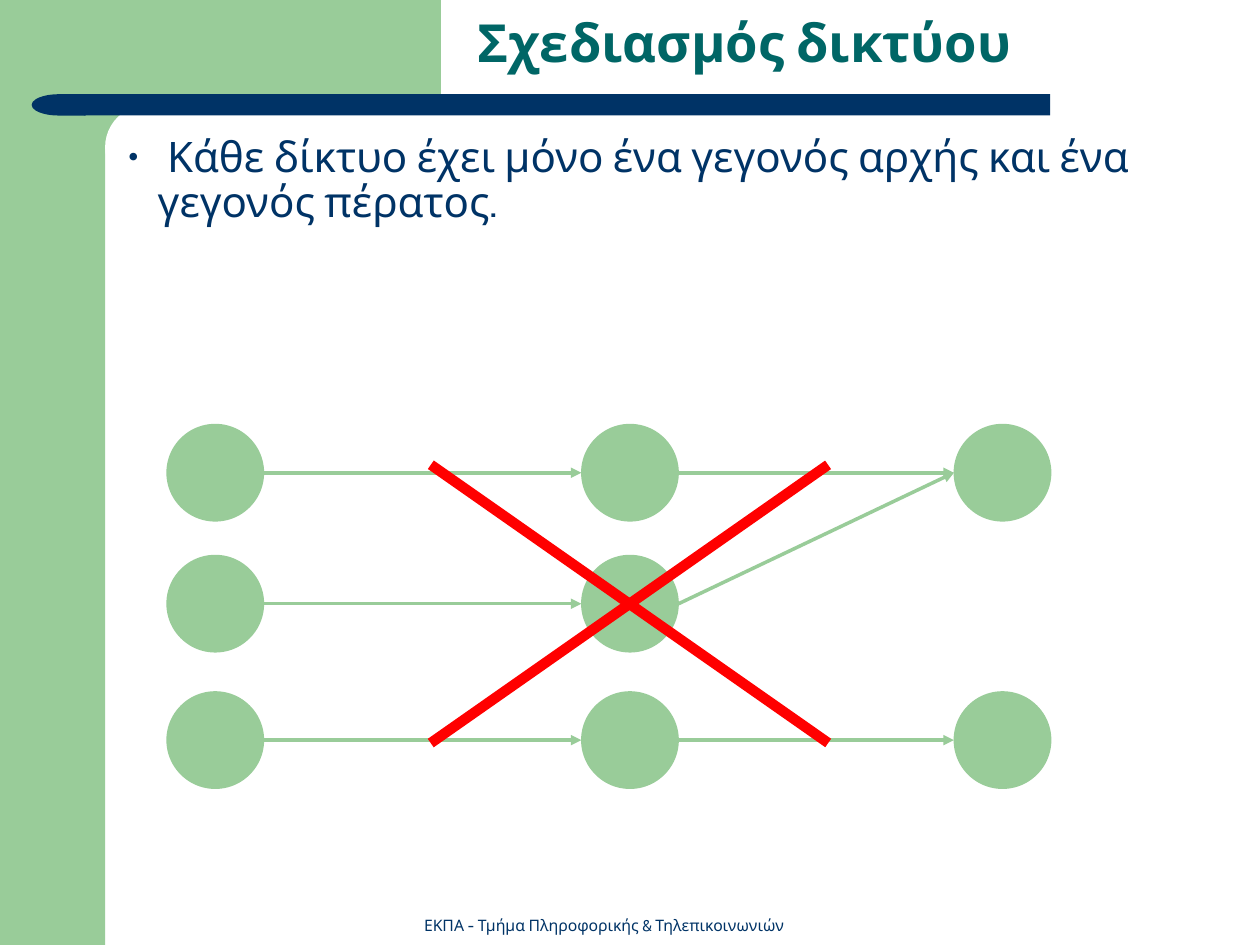
import pptx
import pptx.util
import pptx.dml.color
import pptx.enum.shapes
import pptx.enum.text
import pptx.oxml.ns
import pptx.oxml.xmlchemy

Cm, Pt = pptx.util.Cm, pptx.util.Pt
SHAPE = pptx.enum.shapes.MSO_SHAPE
ALIGN = pptx.enum.text.PP_ALIGN
ANCHOR = pptx.enum.text.MSO_ANCHOR
GREEN, NAVY, TEAL, RED, WHITE = "99CC99", "003366", "006666", "FF0000", "FFFFFF"


def rgb(value):
    return pptx.dml.color.RGBColor.from_string(value)


def add_xml(parent, tag, **attrs):
    el = pptx.oxml.xmlchemy.OxmlElement(tag)
    for name, value in attrs.items():
        el.set(name, str(value))
    parent.append(el)
    return el


class SlideBuilder:
    font = "Cabin"
    line_width = 2

    def __init__(self, s):
        self.s = s

    def shape(self, kind, x, y, w, h, fill, line=None, adj=None, rot=0):
        sp = self.s.shapes.add_shape(kind, Cm(x), Cm(y), Cm(w), Cm(h))
        sp.shadow.inherit = False
        sp.fill.solid()
        sp.fill.fore_color.rgb = rgb(fill)
        if line:
            sp.line.color.rgb = rgb(line)
            sp.line.width = Pt(self.line_width)
        else:
            sp.line.fill.background()
        if adj is not None:
            sp.adjustments[0] = adj
        sp.rotation = rot
        return sp

    def arrow(self, x1, y1, x2, y2, color):
        c = self.s.shapes.add_connector(
            pptx.enum.shapes.MSO_CONNECTOR.STRAIGHT, Cm(x1), Cm(y1), Cm(x2), Cm(y2))
        c.line.color.rgb = rgb(color)
        c.line.width = Pt(self.line_width)
        spPr = c._element.spPr
        add_xml(spPr.find(pptx.oxml.ns.qn("a:ln")), "a:tailEnd", type="triangle")
        add_xml(spPr, "a:effectLst")

    def text(self, x, y, w, h, runs, frame=None, para=None, bullet=None):
        tf = self.s.shapes.add_textbox(Cm(x), Cm(y), Cm(w), Cm(h)).text_frame
        for name, value in {"word_wrap": True, **(frame or {})}.items():
            setattr(tf, name, value)
        p = tf.paragraphs[0]
        for name, value in (para or {}).items():
            setattr(p, name, value)
        if bullet:
            self.bullet(p, bullet)
        for content, fmt in runs:
            fmt = {"name": self.font, **fmt}
            r = p.add_run()
            r.text = content
            r.font.color.rgb = rgb(fmt.pop("color"))
            for name, value in fmt.items():
                setattr(r.font, name, value)

    def bullet(self, p, color, indent=0.6):
        pPr = p._p.get_or_add_pPr()
        pPr.set("marL", str(int(Cm(indent))))
        pPr.set("indent", str(-int(Cm(indent))))
        add_xml(add_xml(pPr, "a:buClr"), "a:srgbClr", val=color)
        add_xml(pPr, "a:buSzPct", val=75000)
        add_xml(pPr, "a:buFont", typeface="Times New Roman")
        add_xml(pPr, "a:buChar", char="•")


def main():
    prs = pptx.Presentation()
    prs.slide_width, prs.slide_height = Cm(25.4), Cm(19.05)
    b = SlideBuilder(prs.slides.add_slide(prs.slide_layouts[6]))

    # Frame: green side and top, white rounded corner, navy bar
    b.shape(SHAPE.RECTANGLE, 0, 0, 2.12, 19.05, GREEN)
    b.shape(SHAPE.RECTANGLE, 1.9, 0, 6.99, 2.96, GREEN)
    b.shape(SHAPE.ROUNDED_RECTANGLE, 2.12, 2.12, 14.18, 1.69, WHITE, adj=0.5)
    b.shape(SHAPE.RECTANGLE, 1.69, 1.9, 19.48, 0.43, NAVY)
    cap = b.shape(SHAPE.FLOWCHART_DELAY, 0.64, 1.9, 1.09, 0.43, NAVY)
    cap._element.spPr.find(pptx.oxml.ns.qn("a:xfrm")).set("flipH", "1")

    # Footer, title and body
    b.text(8.15, 18.33, 8.05, 0.64,
           [("ΕΚΠΑ - Τμήμα Πληροφορικής & Τηλεπικοινωνιών", {"size": Pt(9), "color": NAVY})],
           frame={"vertical_anchor": ANCHOR.BOTTOM}, para={"alignment": ALIGN.CENTER})
    b.text(9.1, 0, 16.3, 1.63,
           [(" ", {"name": "Times New Roman", "size": Pt(32), "bold": True, "color": NAVY}),
            ("Σχεδιασμός δικτύου", {"size": Pt(30), "bold": True, "color": TEAL})])
    b.text(2.33, 2.54, 23.07, 8.05,
           [(" Κάθε δίκτυο έχει μόνο ένα γεγονός αρχής και ένα γεγονός πέρατος.",
             {"size": Pt(24), "color": NAVY})],
           frame={"margin_top": Cm(0.23)}, para={"line_spacing": 0.88}, bullet=NAVY)

    # Network nodes, given by the centres of columns and rows
    d = 1.9
    cols, rows = (4.34, 12.7, 20.21), (9.53, 12.17, 14.92)
    nodes = [(c, r) for c in range(3) for r in range(3) if (c, r) != (2, 1)]
    for c, r in nodes:
        b.shape(SHAPE.OVAL, cols[c] - d / 2, rows[r] - d / 2, d, d, GREEN, line=GREEN)

    # Arrows from each node to one in the next column: (column, row, target row)
    reach = d / 2 + 0.03
    for c, r, target in ((0, 0, 0), (0, 1, 1), (1, 1, 0), (1, 0, 0), (0, 2, 2), (1, 2, 2)):
        b.arrow(cols[c] + reach, rows[r], cols[c + 1] - reach, rows[target], GREEN)

    # Red cross over the network
    for angle in (-35, 35):
        b.shape(SHAPE.RECTANGLE, 7.8, 12.07, 9.78, 0.21, RED, rot=angle)

    prs.save("out.pptx")


if __name__ == "__main__":
    main()
